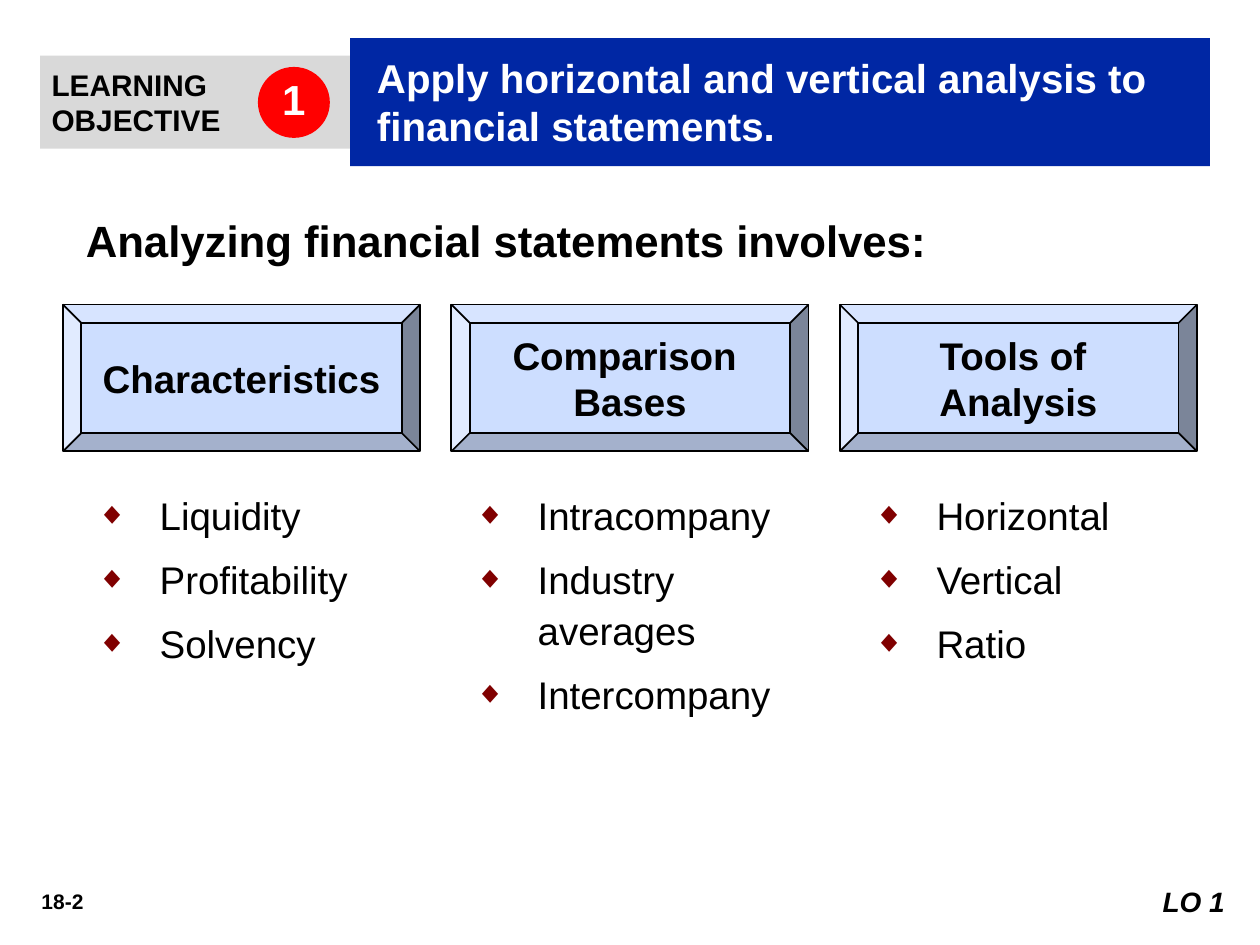
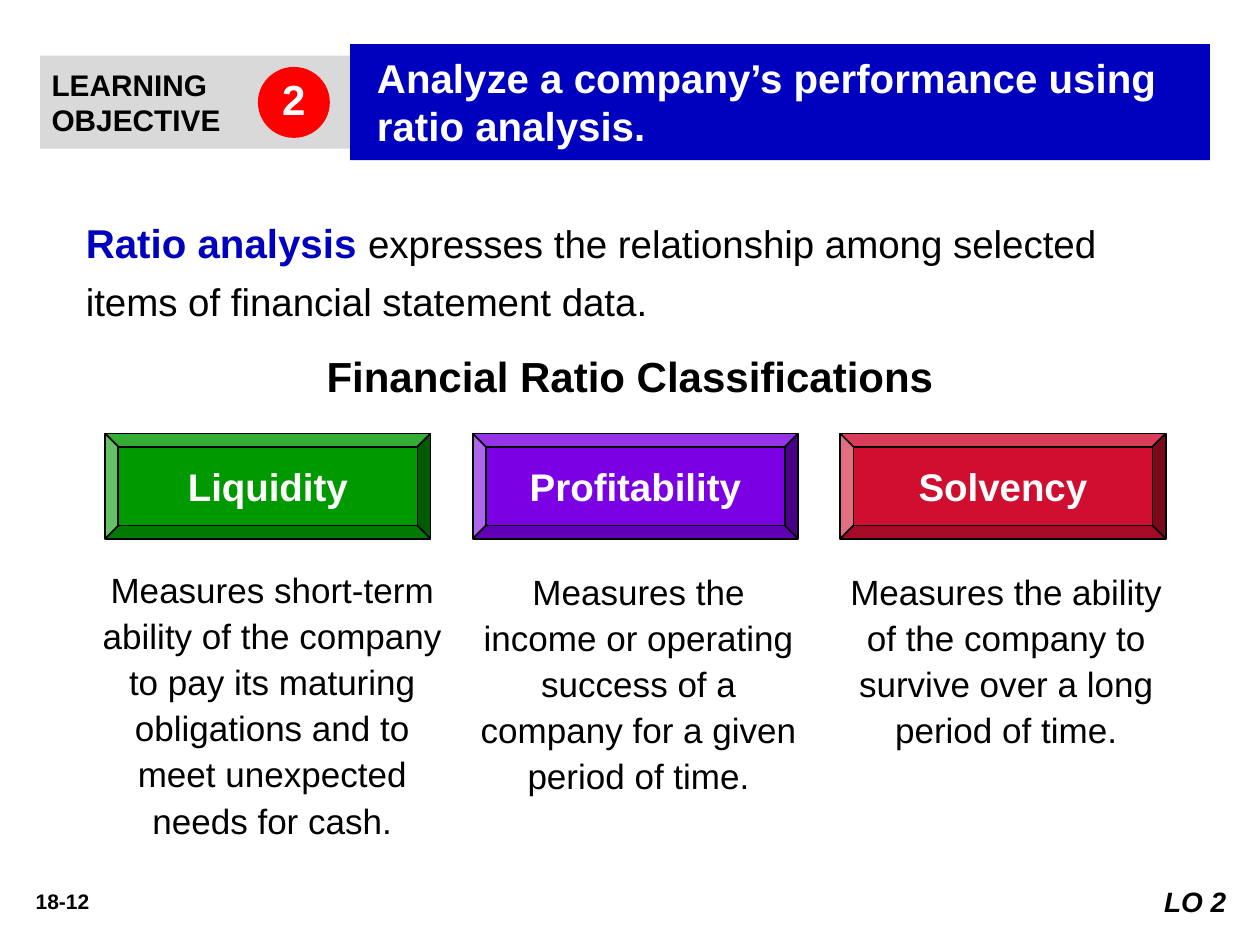
from dataclasses import dataclass, replace
from typing import Optional

import lxml.etree
import pptx
import pptx.dml.color
import pptx.enum.shapes
import pptx.enum.text
import pptx.oxml.ns
import pptx.shapes.autoshape
import pptx.slide
import pptx.util

Cm = pptx.util.Cm
Pt = pptx.util.Pt
RGBColor = pptx.dml.color.RGBColor
Align = pptx.enum.text.PP_ALIGN
Anchor = pptx.enum.text.MSO_ANCHOR
ShapeType = pptx.enum.shapes.MSO_SHAPE

BLACK = RGBColor(0x00, 0x00, 0x00)
WHITE = RGBColor(0xFF, 0xFF, 0xFF)
GRAY = RGBColor(0xD9, 0xD9, 0xD9)
RED = RGBColor(0xFF, 0x00, 0x00)
NAVY = RGBColor(0x00, 0x27, 0xA4)
BLUE = RGBColor(0x00, 0x00, 0xBF)
PALE_BLUE = RGBColor(0xCD, 0xDE, 0xFF)
GREEN = RGBColor(0x00, 0x99, 0x00)
PURPLE = RGBColor(0x7B, 0x00, 0xE4)
CRIMSON = RGBColor(0xCF, 0x0E, 0x30)
MAROON = RGBColor(0x80, 0x00, 0x00)
FONT_NAME = "Arial"


@dataclass(frozen=True)
class Frame:
    left: float
    top: float
    width: float
    height: float


@dataclass(frozen=True)
class Run:
    text: str
    size: float
    color: RGBColor = BLACK
    bold: bool = False
    italic: bool = False


@dataclass(frozen=True)
class Layout:
    align: Align = Align.LEFT
    anchor: Anchor = Anchor.TOP
    margins: tuple[float, float, float, float] = (0.25, 0.13, 0.25, 0.13)
    wrap: bool = True
    line_spacing: float = 1.0
    space_before: float = 0
    bulleted: bool = False


@dataclass(frozen=True)
class Look:
    shape_type: ShapeType
    fill: RGBColor
    line: Optional[RGBColor] = None


@dataclass(frozen=True)
class Column:
    heading: list[str]
    color: RGBColor
    body: list[str]
    body_frame: Frame


CENTERED = Layout(align=Align.CENTER)
RIGHT = Layout(align=Align.RIGHT)
BEVEL_LABEL = Layout(Align.CENTER, Anchor.MIDDLE, wrap=False)
BULLETS = Layout(margins=(0.25, 0.3, 0.25, 0.13), line_spacing=1.1,
                 space_before=7.7, bulleted=True)
DESCRIPTION = Layout(Align.CENTER, margins=(0.13, 0.13, 0, 0.13), line_spacing=1.1)
OBJECTIVE_LABEL = Layout(anchor=Anchor.MIDDLE, margins=(0.23, 0.13, 0.23, 0.13), wrap=False)
OBJECTIVE_TITLE = Layout(anchor=Anchor.MIDDLE, margins=(0.54, 0.1, 0.23, 0.13))
OBJECTIVE_NUMBER = Layout(Align.CENTER, Anchor.MIDDLE, margins=(0.23, 0, 0.23, 0.13))


def add_bullet(paragraph: pptx.text.text._Paragraph) -> None:
    properties = paragraph._p.get_or_add_pPr()
    properties.set("marL", str(Cm(1.27)))
    properties.set("indent", str(-Cm(1.27)))
    qn = pptx.oxml.ns.qn
    color = lxml.etree.SubElement(properties, qn("a:buClr"))
    lxml.etree.SubElement(color, qn("a:srgbClr"), val=str(MAROON))
    lxml.etree.SubElement(properties, qn("a:buSzPct"), val="80000")
    lxml.etree.SubElement(properties, qn("a:buFont"), typeface=FONT_NAME)
    lxml.etree.SubElement(properties, qn("a:buChar"), char="◆")


def add_block(slide: pptx.slide.Slide, frame: Frame, paragraphs: list[list[Run]],
              layout: Layout = Layout(), look: Optional[Look] = None,
              ) -> pptx.shapes.autoshape.Shape:
    box = [Cm(value) for value in (frame.left, frame.top, frame.width, frame.height)]
    if look is None:
        shape = slide.shapes.add_textbox(*box)
    else:
        shape = slide.shapes.add_shape(look.shape_type, *box)
        shape.shadow.inherit = False
        shape.fill.solid()
        shape.fill.fore_color.rgb = look.fill
        if look.line is None:
            shape.line.fill.background()
        else:
            shape.line.color.rgb = look.line
            shape.line.width = Pt(1)
    text_frame = shape.text_frame
    text_frame.word_wrap = layout.wrap
    text_frame.vertical_anchor = layout.anchor
    (text_frame.margin_left, text_frame.margin_top,
     text_frame.margin_right, text_frame.margin_bottom) = map(Cm, layout.margins)
    for index, runs in enumerate(paragraphs):
        paragraph = text_frame.add_paragraph() if index else text_frame.paragraphs[0]
        if layout.bulleted:
            add_bullet(paragraph)
        paragraph.alignment = layout.align
        paragraph.line_spacing = layout.line_spacing
        if index and layout.space_before:
            paragraph.space_before = Pt(layout.space_before)
        for part in runs:
            run = paragraph.add_run()
            run.text = part.text
            run.font.name = FONT_NAME
            run.font.size = Pt(part.size)
            run.font.bold = part.bold
            run.font.italic = part.italic
            run.font.color.rgb = part.color
    return shape


def add_objective_slide(presentation: pptx.presentation.Presentation, number: int,
                        title: str, title_color: RGBColor, title_height: float,
                        page: str, tag_frame: Frame,
                        tag_look: Optional[Look] = None) -> pptx.slide.Slide:
    slide = presentation.slides.add_slide(presentation.slide_layouts[6])
    add_block(slide, Frame(0.81, 1.12, 6.25, 1.88),
              [[Run(word, 17, bold=True)] for word in ("LEARNING", "OBJECTIVE")],
              OBJECTIVE_LABEL, Look(ShapeType.RECTANGLE, GRAY))
    add_block(slide, Frame(7.06, 2.06 - title_height / 2, 17.33, title_height),
              [[Run(title, 23, WHITE, True)]],
              OBJECTIVE_TITLE, Look(ShapeType.RECTANGLE, title_color))
    add_block(slide, Frame(5.2, 1.35, 1.45, 1.43), [[Run(str(number), 24, WHITE, True)]],
              OBJECTIVE_NUMBER, Look(ShapeType.OVAL, RED))
    add_block(slide, Frame(0.2, 17.78, 2.12, 0.77), [[Run(page, 12, bold=True)]], CENTERED)
    add_block(slide, tag_frame, [[Run(f"LO {number}", 16, bold=True, italic=True)]],
              RIGHT, tag_look)
    return slide


def add_columns(slide: pptx.slide.Slide, columns: list[Column], first: Frame, pitch: float,
                heading_color: RGBColor, body_size: float, body_layout: Layout) -> None:
    for index, column in enumerate(columns):
        bevel = add_block(slide, replace(first, left=first.left + index * pitch),
                          [[Run(line, 22, heading_color, True)] for line in column.heading],
                          BEVEL_LABEL, Look(ShapeType.BEVEL, column.color, BLACK))
        bevel.adjustments[0] = 0.125
        add_block(slide, column.body_frame,
                  [[Run(text, body_size)] for text in column.body], body_layout)


def add_involves_slide(presentation: pptx.presentation.Presentation) -> None:
    slide = add_objective_slide(
        presentation, 1, "Apply horizontal and vertical analysis to financial statements.",
        NAVY, 2.58, "18-2", Frame(22.4, 17.7, 2.54, 0.94))
    add_block(slide, Frame(1.48, 4.13, 22.23, 1.37),
              [[Run("Analyzing financial statements involves:", 25, bold=True)]],
              Layout(line_spacing=1.05))
    columns = [
        Column(["Characteristics"], PALE_BLUE,
               ["Liquidity", "Profitability", "Solvency"], Frame(1.7, 9.52, 6.56, 4.45)),
        Column(["Comparison ", "Bases"], PALE_BLUE,
               ["Intracompany", "Industry averages", "Intercompany"],
               Frame(9.32, 9.52, 6.56, 6.56)),
        Column(["Tools of ", "Analysis"], PALE_BLUE,
               ["Horizontal", "Vertical", "Ratio"], Frame(17.36, 9.52, 6.56, 6.56)),
    ]
    add_columns(slide, columns, Frame(1.27, 6.14, 7.2, 2.96), 7.83, BLACK, 22, BULLETS)


def add_ratio_slide(presentation: pptx.presentation.Presentation) -> None:
    slide = add_objective_slide(
        presentation, 2, "Analyze a company’s performance using ratio analysis.",
        BLUE, 2.34, "18-12", Frame(22.81, 17.7, 2.16, 0.94),
        Look(ShapeType.RECTANGLE, WHITE))
    add_block(slide, Frame(1.48, 4.02, 22.01, 2.67),
              [[Run("Ratio analysis ", 23, BLUE, True),
                Run("expresses the relationship among selected items of "
                    "financial statement data.", 22)]],
              Layout(line_spacing=1.25))
    add_block(slide, Frame(5.7, 6.94, 14, 1.28),
              [[Run("Financial Ratio Classifications", 24, bold=True)]], CENTERED)
    columns = [
        Column(["Liquidity"], GREEN,
               ["Measures short-term ability of the company to pay its maturing "
                "obligations and to meet unexpected needs for cash."],
               Frame(1.93, 11.24, 6.99, 5.9)),
        Column(["Profitability"], PURPLE,
               ["Measures the income or operating success of a company "
                "for a given period of time."],
               Frame(9.53, 11.28, 6.56, 4.95)),
        Column(["Solvency"], CRIMSON,
               ["Measures the ability of the company to survive over a long period of time."],
               Frame(16.94, 11.28, 6.56, 4.01)),
    ]
    add_columns(slide, columns, Frame(2.12, 8.74, 6.56, 2.12), 7.41, WHITE, 20, DESCRIPTION)


def main() -> None:
    presentation = pptx.Presentation()
    presentation.slide_width = Cm(25.4)
    presentation.slide_height = Cm(19.05)
    add_involves_slide(presentation)
    add_ratio_slide(presentation)
    presentation.save("out.pptx")


if __name__ == "__main__":
    main()
